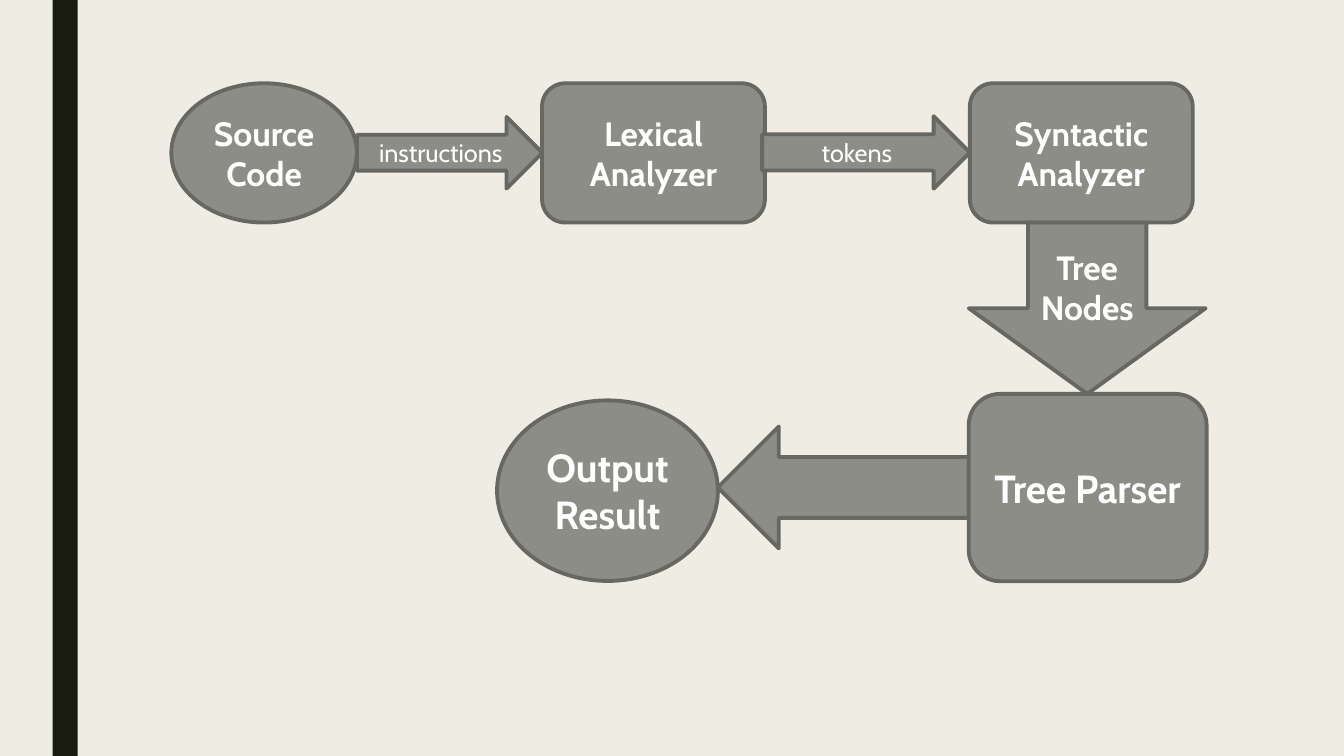
from pptx import Presentation
from pptx.dml.color import RGBColor
from pptx.enum.shapes import MSO_SHAPE
from pptx.enum.text import MSO_ANCHOR, PP_ALIGN
from pptx.util import Pt

BACKGROUND = RGBColor(0xEF, 0xED, 0xE3)
BAR = RGBColor(0x19, 0x1B, 0x0E)
FILL = RGBColor(0x8C, 0x8D, 0x86)
OUTLINE = RGBColor(0x68, 0x68, 0x63)
WHITE = RGBColor(0xFF, 0xFF, 0xFF)
FONT = "Cabin"


def add_filled_shape(kind, left, top, width, height, color):
    shape = page.shapes.add_shape(kind, Pt(left), Pt(top), Pt(width), Pt(height))
    shape.shadow.inherit = False
    shape.fill.solid()
    shape.fill.fore_color.rgb = color
    return shape


deck = Presentation()
deck.slide_width, deck.slide_height = Pt(960), Pt(540)
page = deck.slides.add_slide(deck.slide_layouts[6])
page.background.fill.solid()
page.background.fill.fore_color.rgb = BACKGROUND

side_bar = add_filled_shape(MSO_SHAPE.RECTANGLE, 37.5, 0, 18, 540, BAR)
side_bar.line.fill.background()

# kind, left, top, width, height, label, text size, bold
flow = [
    (MSO_SHAPE.OVAL, 122.4, 59.5, 132.5, 99.5, "Source Code", 24, True),
    (MSO_SHAPE.ROUNDED_RECTANGLE, 387.2, 59.5, 159.2, 99.5, "Lexical Analyzer", 24, True),
    (MSO_SHAPE.ROUNDED_RECTANGLE, 692.8, 59.5, 159.2, 99.5, "Syntactic Analyzer", 24, True),
    (MSO_SHAPE.OVAL, 355, 286, 157.8, 129, "Output Result", 28, True),
    (MSO_SHAPE.RIGHT_ARROW, 255, 83.5, 132.4, 51.2, "instructions", 18, False),
    (MSO_SHAPE.RIGHT_ARROW, 544.4, 83, 148.4, 51.8, "tokens", 18, False),
    (MSO_SHAPE.DOWN_ARROW, 692, 159, 169.2, 122.4, "Tree Nodes", 24, True),
    (MSO_SHAPE.LEFT_ARROW, 512.8, 304.6, 179.2, 87.1, "", 28, True),
    (MSO_SHAPE.ROUNDED_RECTANGLE, 692, 281.4, 169.9, 133.8, "Tree Parser", 28, True),
]

for kind, left, top, width, height, label, size, bold in flow:
    box = add_filled_shape(kind, left, top, width, height, FILL)
    box.line.color.rgb = OUTLINE
    box.line.width = Pt(2.75)
    if not label:
        continue
    box.text_frame.word_wrap = True
    box.text_frame.vertical_anchor = MSO_ANCHOR.MIDDLE
    para = box.text_frame.paragraphs[0]
    para.alignment = PP_ALIGN.CENTER
    span = para.add_run()
    span.text = label
    span.font.name = FONT
    span.font.size = Pt(size)
    span.font.bold = bold
    span.font.color.rgb = WHITE

deck.save("out.pptx")
